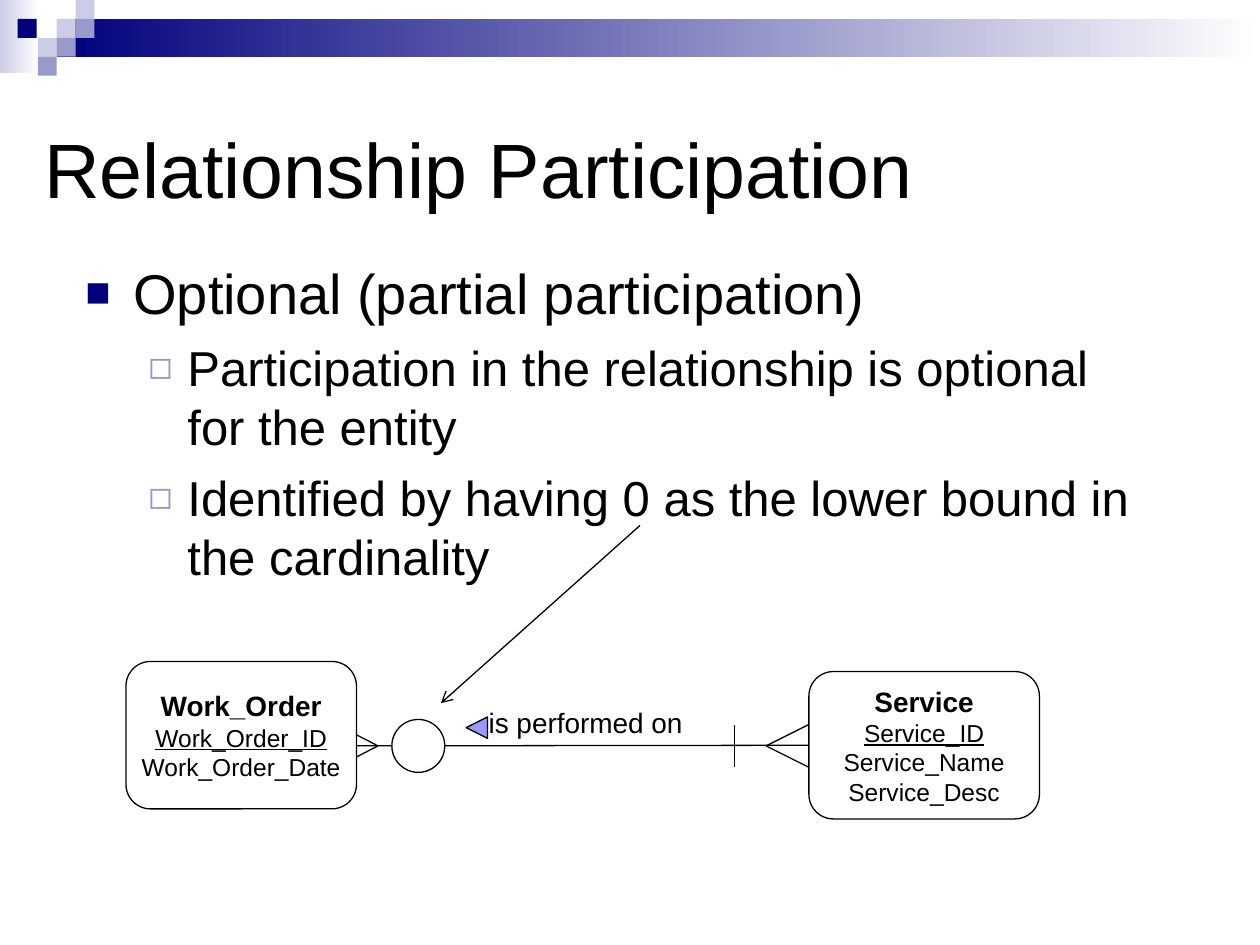
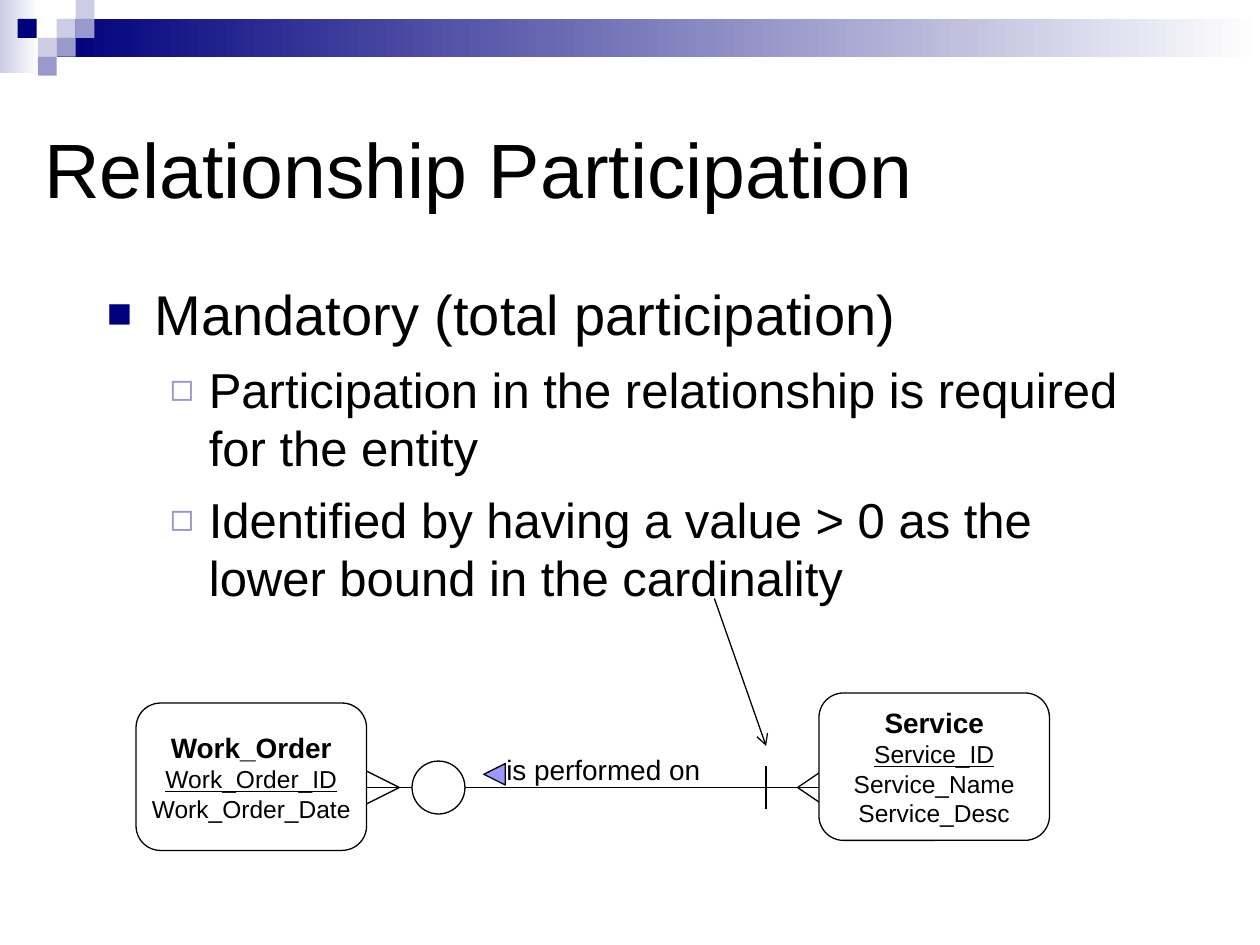
"""Build two slides on optional and mandatory relationship participation."""
import dataclasses

import lxml.etree
import pptx
import pptx.dml.color
import pptx.enum.shapes
import pptx.enum.text
import pptx.oxml.ns
import pptx.util

Inches = pptx.util.Inches
Shape = pptx.enum.shapes.MSO_SHAPE
Align = pptx.enum.text.PP_ALIGN
Anchor = pptx.enum.text.MSO_ANCHOR
qn = pptx.oxml.ns.qn
rgb = pptx.dml.color.RGBColor.from_string


@dataclasses.dataclass(frozen=True)
class Theme:
    font: str = "Arial"
    ink: str = "000000"
    paper: str = "FFFFFF"
    navy: str = "00007D"
    mid: str = "9999CC"
    pale: str = "CCCCE6"
    marker: str = "9999FF"
    title: int = 44
    point: int = 32
    detail: int = 28
    name: int = 16
    field: int = 14
    line: float = 0.75


theme = Theme()


def write(frame, text, size, bold=False, under=False, align=Align.LEFT,
          space=0, bullet=None):
    para = frame.paragraphs[0]
    if para.runs:
        para = frame.add_paragraph()
    para.alignment = align
    para.space_before = pptx.util.Pt(space)
    run = para.add_run()
    run.text = text
    font = run.font
    font.name, font.size = theme.font, pptx.util.Pt(size)
    font.bold, font.underline = bold, under
    font.color.rgb = rgb(theme.ink)
    if bullet:
        char, color, scale, left, hang, level = bullet
        para.level = level
        props = para._p.get_or_add_pPr()
        props.set("marL", str(Inches(left)))
        props.set("indent", str(-Inches(hang)))
        tint = lxml.etree.SubElement(props, qn("a:buClr"))
        lxml.etree.SubElement(tint, qn("a:srgbClr"), val=color)
        lxml.etree.SubElement(props, qn("a:buSzPct"), val=str(scale * 1000))
        lxml.etree.SubElement(props, qn("a:buFont"), typeface=theme.font)
        lxml.etree.SubElement(props, qn("a:buChar"), char=char)


def draw(slide, kind, box, fill, fade=None, line=True):
    shape = slide.shapes.add_shape(kind, *map(Inches, box))
    shape.shadow.inherit = False
    if fade:
        shape.fill.gradient()
        shape.fill.gradient_angle = 0
        for stop, color, place in zip(shape.fill.gradient_stops, (fill, fade), (0, 1)):
            stop.color.rgb, stop.position = rgb(color), place
    else:
        shape.fill.solid()
        shape.fill.fore_color.rgb = rgb(fill)
    if line:
        shape.line.color.rgb = rgb(theme.ink)
        shape.line.width = pptx.util.Pt(theme.line)
    else:
        shape.line.fill.background()
    return shape


main = ("■", theme.navy, 75, 0.38, 0.38, 0)
sub = ("◻", theme.mid, 80, 0.81, 0.31, 1)
tile = 0.15
tiles = [
    (0.45, 0.15, theme.pale), (0.6, 0, theme.pale), (0.6, 0.15, theme.mid),
    (0.3, 0.3, theme.pale), (0.14, 0.15, theme.navy),
    (0.45, 0.3, theme.mid), (0.3, 0.45, theme.mid),
]
order = ["Work_Order", "Work_Order_ID", "Work_Order_Date"]
service = ["Service", "Service_ID", "Service_Name", "Service_Desc"]
ring, spread, tip = 0.42, 0.17, 0.17

pages = [
    dict(body=(0.58, 2), axis=5.92, ends=(2.67, 6.42), feet=(3, 6.08),
         bar=5.83, ring=3.11, order=(1, 5.25), service=(6.42, 5.33),
         label=(3.78, 5.55), arrow=(5.08, 4.17, 3.5, 5.58),
         text=["Optional (partial participation)",
               "Participation in the relationship is optional for the entity",
               "Identified by having 0 as the lower bound in the cardinality"]),
    dict(body=(0.75, 2.17), axis=6.25, ends=(2.83, 6.58), feet=(3.17, 6.33),
         bar=6.08, ring=3.27, order=(1.08, 5.58), service=(6.5, 5.5),
         label=(3.92, 5.92), arrow=(5.67, 4.75, 6.08, 5.92),
         text=["Mandatory (total participation)",
               "Participation in the relationship is required for the entity",
               "Identified by having a value > 0 as the lower bound in the cardinality"]),
]

deck = pptx.Presentation()
deck.slide_width, deck.slide_height = Inches(10), Inches(7.5)
layout = deck.slide_layouts[5]

for page in pages:
    slide = deck.slides.add_slide(layout)

    if page is pages[0]:
        band = [
            draw(slide, Shape.RECTANGLE, (0, 0, 0.31, 0.58), theme.pale, theme.paper, False),
            draw(slide, Shape.RECTANGLE, (0.45, 0.15, 9.55, 0.3), theme.navy, theme.paper, False),
        ]
        for left, top, color in tiles:
            band.append(draw(slide, Shape.RECTANGLE, (left, top, tile, tile), color, line=False))
        for num, part in enumerate(band, 20):
            part.element.nvSpPr.cNvPr.set("id", str(num))
            layout.shapes.element.append(part.element)

    title = slide.shapes.title
    title.left, title.top, title.width, title.height = map(Inches, (0.25, 0.5, 8.5, 1.25))
    title.text_frame.auto_size = pptx.enum.text.MSO_AUTO_SIZE.NONE
    title.text_frame.vertical_anchor = Anchor.BOTTOM
    write(title.text_frame, "Relationship Participation", theme.title)

    body = slide.shapes.add_textbox(*map(Inches, (*page["body"], 8.5, 4.75))).text_frame
    body.word_wrap = True
    for num, text in enumerate(page["text"]):
        if num == 0:
            write(body, text, theme.point, space=8, bullet=main)
        else:
            write(body, text, theme.detail, space=7, bullet=sub)

    axis, bar = page["axis"], page["bar"]
    start, end = page["ends"]
    lines = [(start, axis, end, axis), page["arrow"], (bar, axis - spread, bar, axis + spread)]
    for foot, base in zip(page["feet"], page["ends"]):
        lines += [(foot, axis, base, axis + side) for side in (-spread, spread)]
    wires = []
    for points in lines:
        wire = slide.shapes.add_connector(
            pptx.enum.shapes.MSO_CONNECTOR.STRAIGHT, *map(Inches, points))
        wire.line.color.rgb = rgb(theme.ink)
        wire.line.width = pptx.util.Pt(theme.line)
        props = wire.element.spPr
        if points == page["arrow"]:
            lxml.etree.SubElement(props.find(qn("a:ln")), qn("a:tailEnd"), type="arrow")
        lxml.etree.SubElement(props, qn("a:effectLst"))
        wires.append(wire)

    draw(slide, Shape.OVAL, (page["ring"], axis - ring / 2, ring, ring), theme.paper)

    for place, fields in ((page["order"], order), (page["service"], service)):
        card = draw(slide, Shape.ROUNDED_RECTANGLE, (*place, 1.83, 1.17), theme.paper)
        frame = card.text_frame
        frame.word_wrap = False
        frame.vertical_anchor = Anchor.MIDDLE
        for num, text in enumerate(fields):
            write(frame, text, theme.field if num else theme.name,
                  bold=num == 0, under=num == 1, align=Align.CENTER)
    if abs(card.top + card.height / 2 - Inches(axis)) < Inches(0.02):
        wires[0].end_connect(card, 1)

    left, top = page["label"]
    label = slide.shapes.add_textbox(*map(Inches, (left, top, 1.8, 0.37))).text_frame
    label.word_wrap = True
    label.auto_size = pptx.enum.text.MSO_AUTO_SIZE.SHAPE_TO_FIT_TEXT
    write(label, "is performed on", theme.name)
    marker = draw(slide, Shape.ISOSCELES_TRIANGLE, (left - 0.08, top + 0.14, tip, tip), theme.marker)
    marker.rotation = 270

deck.save("out.pptx")
